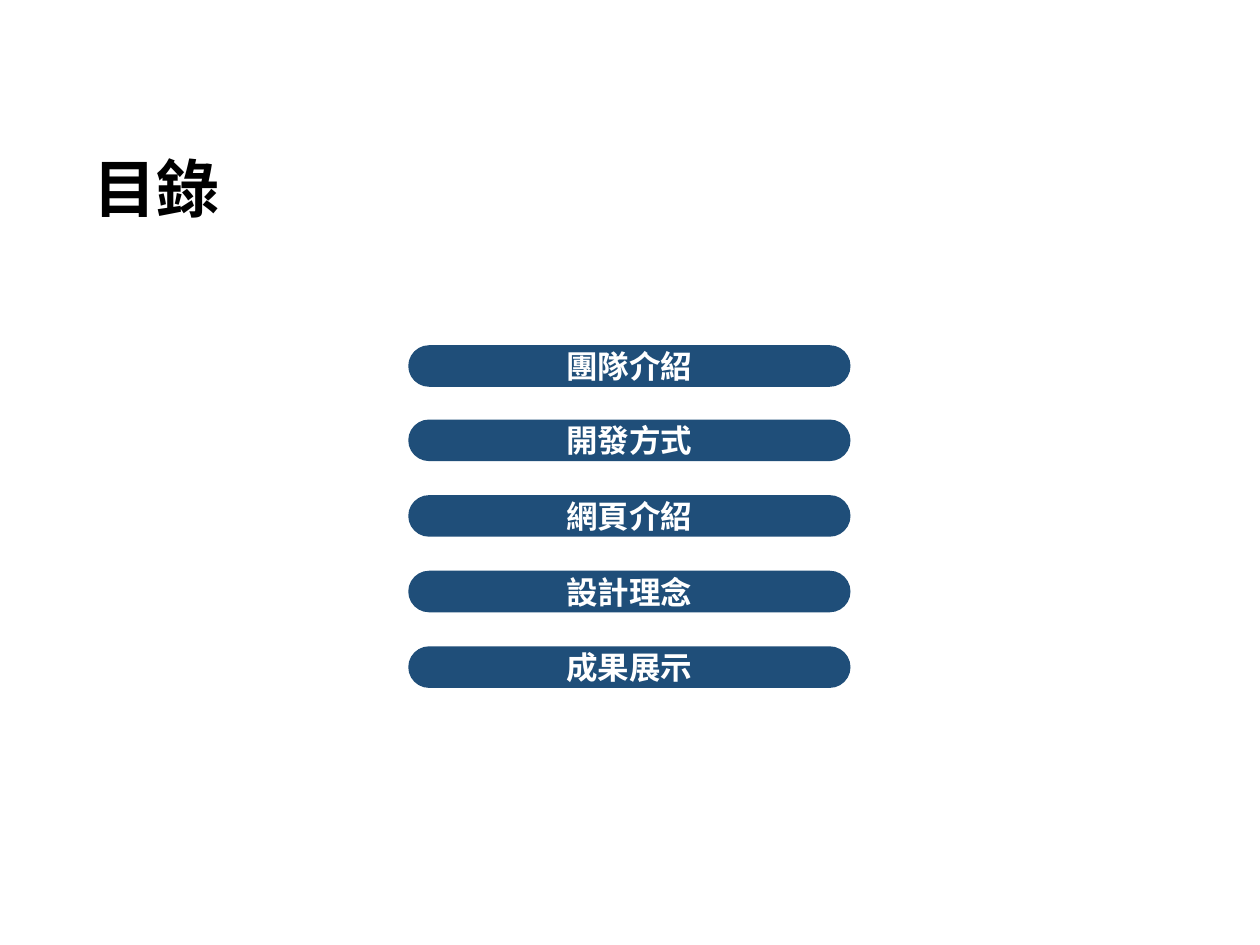
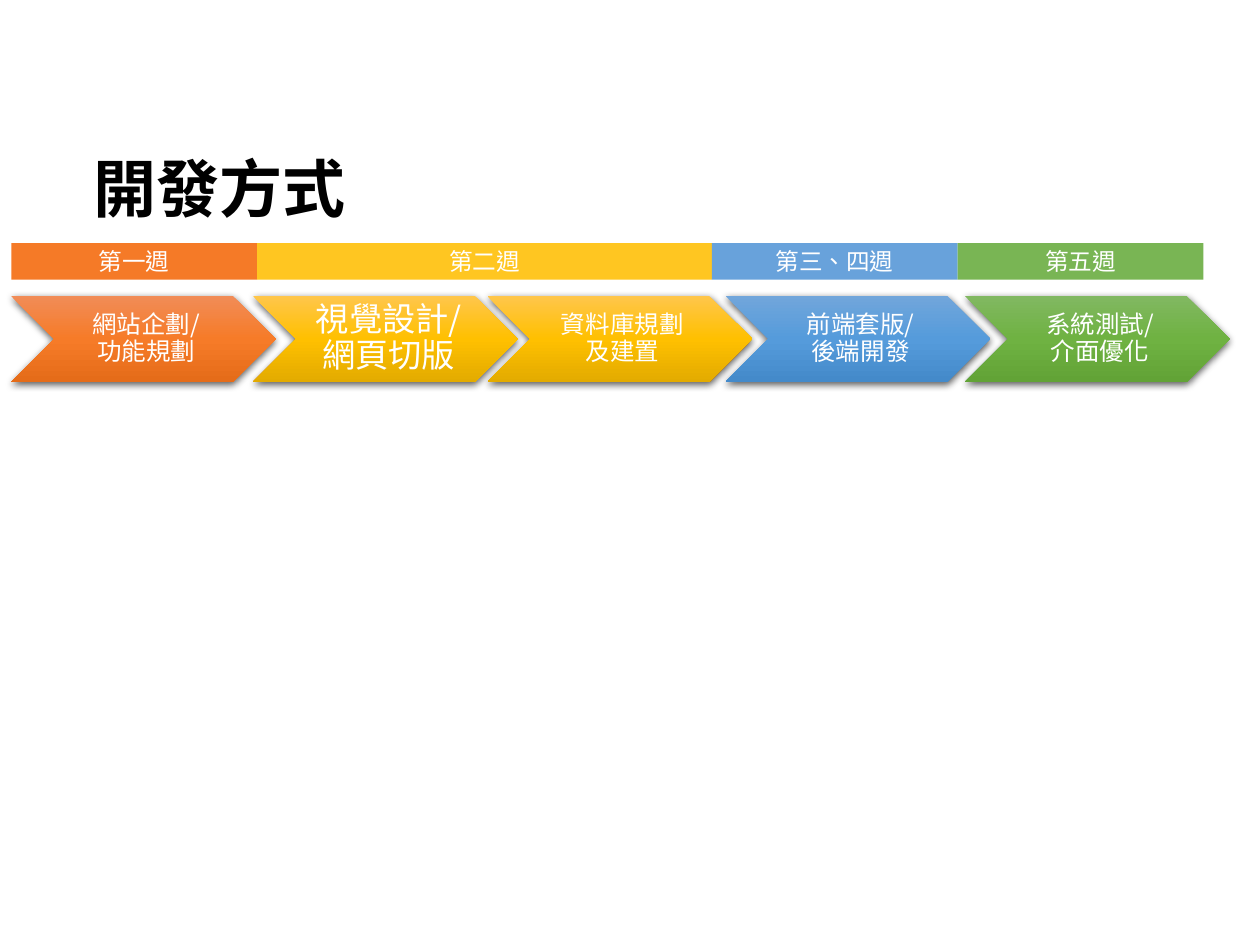
from copy import deepcopy

from lxml import etree
from pptx import Presentation
from pptx.dml.color import RGBColor
from pptx.enum.shapes import MSO_SHAPE
from pptx.enum.text import MSO_ANCHOR, MSO_AUTO_SIZE, PP_ALIGN
from pptx.oxml.ns import qn
from pptx.util import Pt

PX = 9144  # EMU; 100 px to the inch
FONT = "Noto Sans CJK SC"
TITLE_ONLY = 5

PILL, CHEVRON, RECTANGLE = MSO_SHAPE.ROUNDED_RECTANGLE, MSO_SHAPE.CHEVRON, MSO_SHAPE.RECTANGLE
LEFT, CENTER = PP_ALIGN.LEFT, PP_ALIGN.CENTER
TOP, MIDDLE = MSO_ANCHOR.TOP, MSO_ANCHOR.MIDDLE
GROW = MSO_AUTO_SIZE.SHAPE_TO_FIT_TEXT

BLACK = RGBColor(0x00, 0x00, 0x00)
WHITE = RGBColor(0xFF, 0xFF, 0xFF)
NAVY = RGBColor(0x1F, 0x4E, 0x79)
ORANGE = RGBColor(0xF5, 0x7A, 0x27)
YELLOW = RGBColor(0xFF, 0xC6, 0x21)
BLUE = RGBColor(0x68, 0xA2, 0xDB)
GREEN = RGBColor(0x79, 0xB5, 0x54)
ORANGE_SHADES = RGBColor(0xF1, 0x8C, 0x57), RGBColor(0xF6, 0x7B, 0x28), RGBColor(0xE5, 0x6C, 0x19)
YELLOW_SHADES = RGBColor(0xFF, 0xC6, 0x4B), RGBColor(0xFF, 0xC0, 0x00), RGBColor(0xE3, 0xAB, 0x00)
BLUE_SHADES = RGBColor(0x71, 0xA6, 0xDB), RGBColor(0x55, 0x9B, 0xDB), RGBColor(0x44, 0x8A, 0xCA)
GREEN_SHADES = RGBColor(0x81, 0xB8, 0x61), RGBColor(0x6F, 0xB2, 0x42), RGBColor(0x62, 0xA3, 0x36)

CHAPTERS = ["團隊介紹", "開發方式", "網頁介紹", "設計理念", "成果展示"]
WEEKS = [  # label, width, colour
    ("第一週", 195, ORANGE),
    ("第二週", 361, YELLOW),
    ("第三、四週", 195, BLUE),
    ("第五週", 195, GREEN),
]
STEPS = [  # label, left, gradient, text size, left inset, other insets
    ("網站企劃/\n功能規劃", 9, ORANGE_SHADES, 14, 6, 2),
    ("視覺設計/\n網頁切版", 201, YELLOW_SHADES, 19, 8, 3),
    ("資料庫規劃\n及建置", 387, YELLOW_SHADES, 14, 6, 2),
    ("前端套版/\n後端開發", 576, BLUE_SHADES, 14, 6, 2),
    ("系統測試/\n介面優化", 766, GREEN_SHADES, 14, 6, 2),
]


class Deck:
    def __init__(self):
        self.presentation = Presentation()
        self.presentation.slide_width = 1000 * PX
        self.presentation.slide_height = 750 * PX
        self.slide = None

    def add_slide(self, title):
        layout = self.presentation.slide_layouts[TITLE_ONLY]
        self.slide = self.presentation.slides.add_slide(layout)
        shape = self.slide.shapes.title
        shape.left, shape.top, shape.width, shape.height = 64 * PX, 114 * PX, 936 * PX, 71 * PX
        self.set_text(shape, title, 36, BLACK, bold=True, align=LEFT, anchor=TOP)
        shape.text_frame.auto_size = GROW

    def set_text(self, shape, text, size, color=WHITE, bold=False, align=CENTER, anchor=MIDDLE):
        frame = shape.text_frame
        frame.word_wrap = True
        frame.vertical_anchor = anchor
        paragraph = frame.paragraphs[0]
        paragraph.text = text
        paragraph.alignment = align
        for run in paragraph.runs:
            run.font.name = FONT
            run.font.size = Pt(size)
            run.font.bold = bold
            run.font.color.rgb = color
            properties = run._r.get_or_add_rPr()
            properties.set("lang", "zh-TW")
            east_asian = etree.Element(qn("a:ea"), typeface=FONT)
            properties.find(qn("a:latin")).addnext(east_asian)
        return paragraph

    def shape(self, kind, left, top, width, height):
        """Add a preset shape without line or shadow."""
        shape = self.slide.shapes.add_shape(kind, left * PX, top * PX, width * PX, height * PX)
        shape.line.fill.background()
        shape.shadow.inherit = False
        return shape

    def bar(self, kind, left, top, width, height, color, text, size, bold=False):
        """Add a solid shape with a centred label."""
        shape = self.shape(kind, left, top, width, height)
        shape.fill.solid()
        shape.fill.fore_color.rgb = color
        self.set_text(shape, text, size, bold=bold)
        return shape

    def chevron(self, left, top, width, height, shades):
        """Add a chevron with a vertical three-colour gradient and a soft shadow."""
        shape = self.shape(CHEVRON, left, top, width, height)
        shape.fill.gradient()
        shape.fill.gradient_angle = 270
        properties = shape._element.spPr
        first_stop = properties.find(".//" + qn("a:gs"))
        first_stop.addnext(deepcopy(first_stop))
        for stop, position, shade in zip(shape.fill.gradient_stops, (0, 0.5, 1), shades):
            stop.position = position
            stop.color.rgb = shade
        shadow = etree.SubElement(
            properties.find(qn("a:effectLst")), qn("a:outerShdw"),
            blurRad=str(int(Pt(4.5))), dist=str(int(Pt(1.5))), dir="5400000",
            algn="ctr", rotWithShape="0")
        color = etree.SubElement(shadow, qn("a:srgbClr"), val=str(BLACK))
        etree.SubElement(color, qn("a:alpha"), val="63000")

    def label(self, left, top, width, height, text, size, left_inset, inset):
        box = self.slide.shapes.add_textbox(left * PX, top * PX, width * PX, height * PX)
        frame = box.text_frame
        frame.margin_left = left_inset * PX
        frame.margin_top = frame.margin_right = frame.margin_bottom = inset * PX
        self.set_text(box, text, size).line_spacing = 0.9


def build_contents(deck):
    deck.add_slide("目錄")
    first_top, last_top = 274, 513
    for index, chapter in enumerate(CHAPTERS):
        top = first_top + (last_top - first_top) * index // (len(CHAPTERS) - 1)
        pill = deck.bar(PILL, 324, top, 351, 33, NAVY, chapter, 18, bold=True)
        pill.adjustments[0] = 0.5


def build_schedule(deck):
    deck.add_slide("開發方式")
    top, width, height = 235, 210, 68
    notch = height // 2
    for text, left, shades, size, left_inset, inset in STEPS:
        deck.chevron(left, top, width, height, shades)
        deck.label(left + notch, top, width - 2 * notch, height, text, size, left_inset, inset)
    left = 9
    for text, width, color in WEEKS:
        deck.bar(RECTANGLE, left, 193, width, 29, color, text, 13.5)
        left += width


def main():
    deck = Deck()
    build_contents(deck)
    build_schedule(deck)
    deck.presentation.save("out.pptx")


if __name__ == "__main__":
    main()
